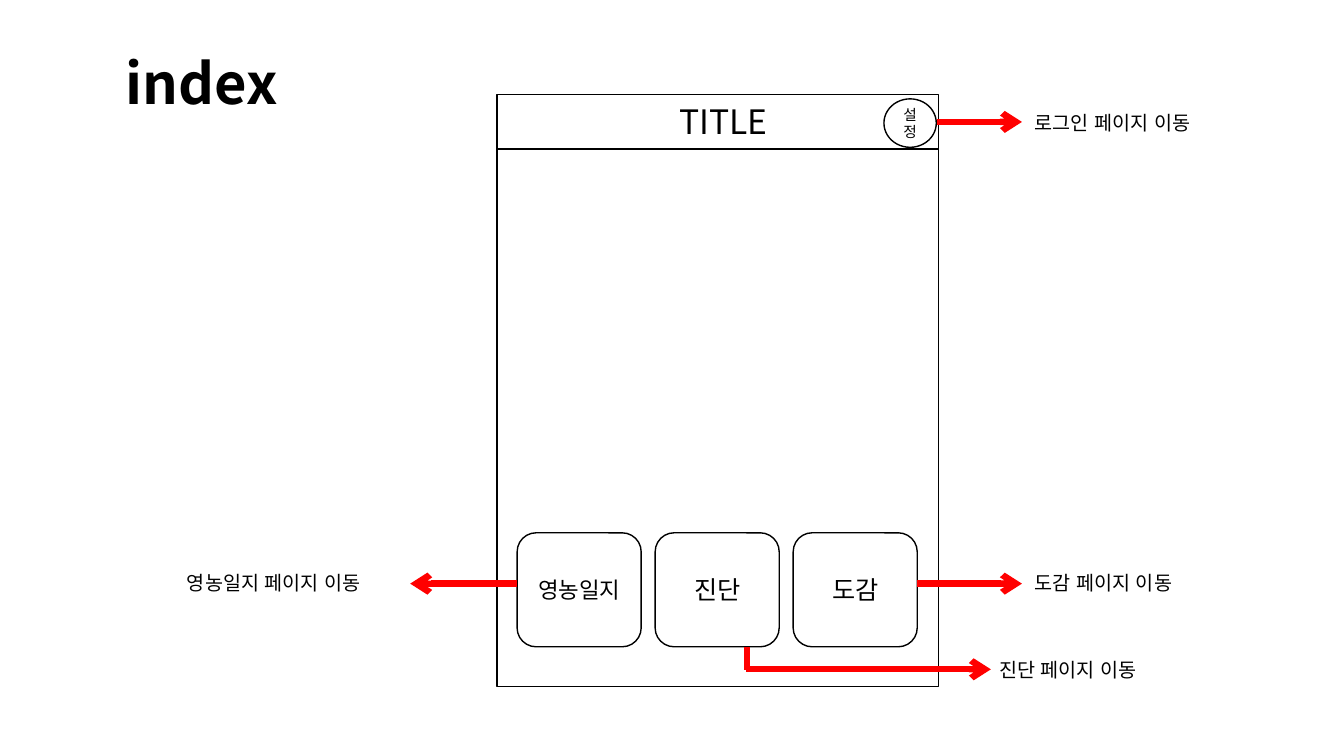
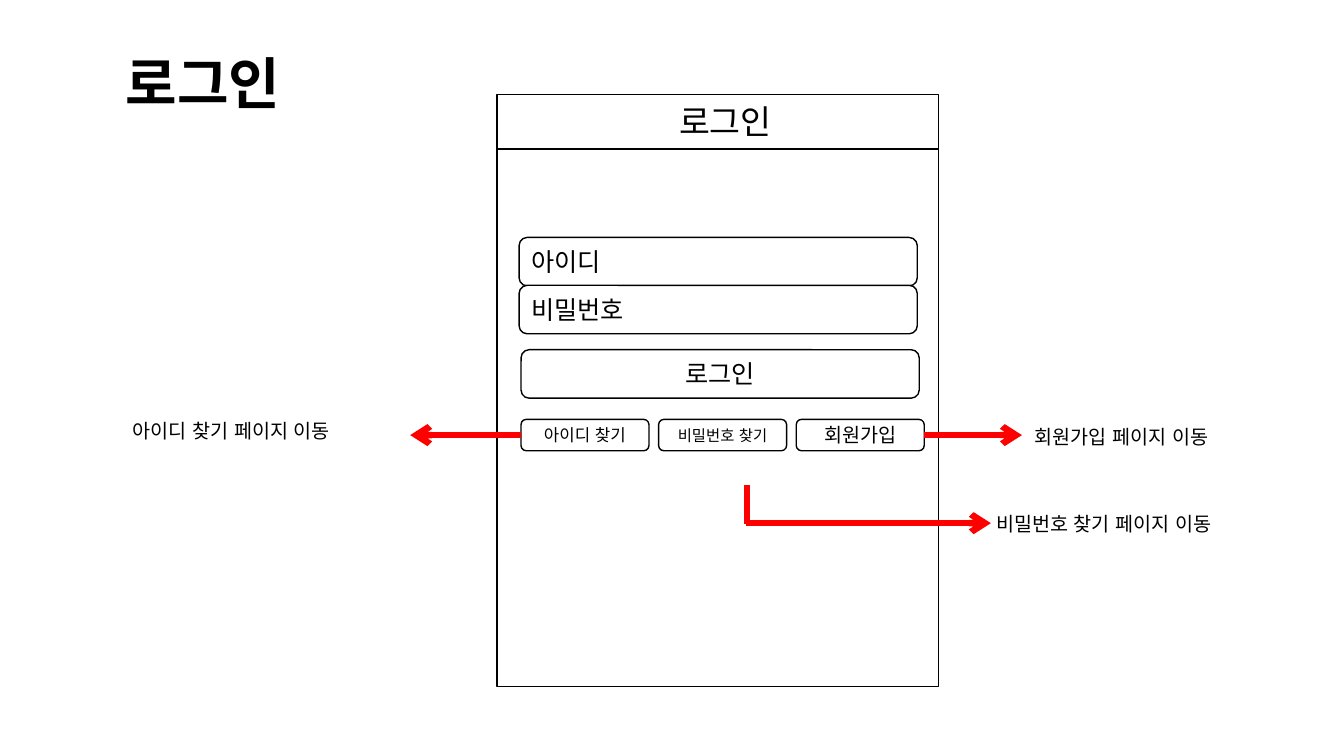
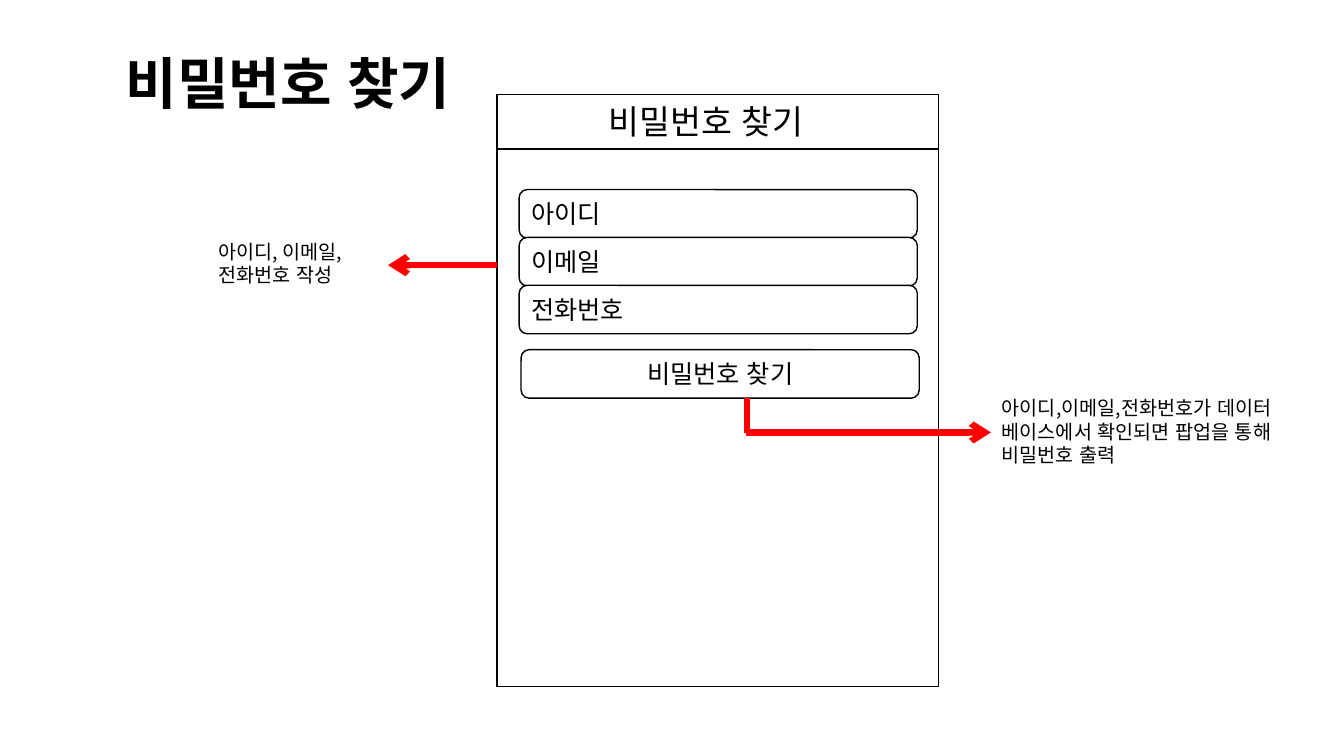
"""Build three annotated wireframe slides: index, login and password search."""
from dataclasses import dataclass

from lxml.etree import SubElement
from pptx import Presentation
from pptx.dml.color import RGBColor
from pptx.enum.lang import MSO_LANGUAGE_ID
from pptx.enum.shapes import MSO_CONNECTOR, MSO_SHAPE
from pptx.enum.text import MSO_ANCHOR, PP_ALIGN
from pptx.oxml.ns import qn
from pptx.util import Pt


@dataclass(frozen=True)
class Theme:
    font: str = "Noto Sans CJK KR"
    ink: RGBColor = RGBColor(0, 0, 0)
    paper: RGBColor = RGBColor(255, 255, 255)
    accent: RGBColor = RGBColor(255, 0, 0)
    outline: float = 1
    arrow: float = 4.5
    title: float = 40
    header: float = 24
    body: float = 18
    compact: float = 16
    label: float = 14
    small: float = 12
    smaller: float = 11
    tiny: float = 10.5


theme = Theme()
BOX, ROUND, CIRCLE = MSO_SHAPE.RECTANGLE, MSO_SHAPE.ROUNDED_RECTANGLE, MSO_SHAPE.OVAL
LEFT, CENTER = PP_ALIGN.LEFT, PP_ALIGN.CENTER


def add_box(shapes, kind, bounds, text="", size=theme.body, align=LEFT, bold=None):
    """Add an outlined shape, or a plain text box when kind is None."""
    lengths = [Pt(value) for value in bounds]
    if kind is None:
        shape = shapes.add_textbox(*lengths)
    else:
        shape = shapes.add_shape(kind, *lengths)
        shape.shadow.inherit = False
        shape.fill.solid()
        shape.fill.fore_color.rgb = theme.paper
        shape.line.color.rgb = theme.ink
        shape.line.width = Pt(theme.outline)
    frame = shape.text_frame
    frame.word_wrap = True
    frame.vertical_anchor = MSO_ANCHOR.TOP if kind is None else MSO_ANCHOR.MIDDLE
    frame.text = text
    font_format = {"name": theme.font, "size": Pt(size), "bold": bold,
                   "language_id": MSO_LANGUAGE_ID.KOREAN}
    for paragraph in frame.paragraphs:
        paragraph.alignment = align
        for run in paragraph.runs:
            for name, value in font_format.items():
                setattr(run.font, name, value)
            run.font.color.rgb = theme.ink
            SubElement(run.font._element, qn("a:ea"), typeface=theme.font)
    return shape


def add_line(shapes, start, end, head=True):
    """Add a straight accent line, with an arrowhead at its end when asked."""
    points = [Pt(value) for value in (*start, *end)]
    line = shapes.add_connector(MSO_CONNECTOR.STRAIGHT, *points)
    line.line.color.rgb = theme.accent
    line.line.width = Pt(theme.arrow)
    if head:
        SubElement(line.line._get_or_add_ln(), qn("a:tailEnd"), type="arrow")
    SubElement(line._element.spPr, qn("a:effectLst"))
    return line


FIELD_X, FIELD_Y, FIELD_PITCH = 370.8, 135.4, 34.2
FIELD_SIZE = (284.4, 34.6)
SUBMIT = (372.2, 249.8, *FIELD_SIZE)
BRANCH_X, BRANCH_END = 533.2, 707.8
LEFT_END, RIGHT_END, RIGHT_LABEL = 293, 730, 732

pages = [
    {
        "title": "index",
        "header": ("TITLE", 478, 78),
        "fields": [],
        "first_row": 0,
        "submit": None,
        "buttons": [("영농일지", theme.compact), ("진단", theme.body), ("도감", theme.body)],
        "button_grid": (369.4, 380.6, 98.6, 88.6, 81.4),
        "settings": "설정",
        "arrows": [((369.4, 416.9), LEFT_END, None), ((655.2, 416.9), RIGHT_END, None),
                   ((669, 87.1), RIGHT_END, None)],
        "branch": (462.2, 478.1),
        "labels": [("영농일지 페이지 이동", 126.5, 404.6, 185), ("도감 페이지 이동", RIGHT_LABEL, 404.6, 165),
                   ("진단 페이지 이동", 706.5, 466.6, 165), ("로그인 페이지 이동", RIGHT_LABEL, 75.6, 165)],
    },
    {
        "title": "로그인",
        "header": ("로그인", 478, 91),
        "fields": ["아이디", "비밀번호"],
        "first_row": 1,
        "submit": "로그인",
        "buttons": [("아이디 찾기", theme.small), ("비밀번호 찾기", theme.smaller), ("회원가입", theme.label)],
        "button_grid": (372.2, 299.6, 98.3, 91.4, 22.4),
        "settings": None,
        "arrows": [((372.2, 310.8), LEFT_END, (0, 1)), ((660.2, 310.8), RIGHT_END, (2, 3))],
        "branch": (346.3, 373.7),
        "labels": [("아이디 찾기 페이지 이동", 87.8, 295.9, 193), ("회원가입 페이지 이동", RIGHT_LABEL, 300.2, 165),
                   ("비밀번호 찾기 페이지 이동", 704.5, 362.2, 212)],
    },
    {
        "title": "비밀번호 찾기",
        "header": ("비밀번호 찾기", 427.7, 193),
        "fields": ["아이디", "이메일", "전화번호"],
        "first_row": 0,
        "submit": "비밀번호 찾기",
        "buttons": [],
        "button_grid": (0, 0, 0, 0, 0),
        "settings": None,
        "arrows": [((355, 189.4), 277.2, None)],
        "branch": (284.4, 308.9),
        "labels": [("아이디, 이메일,\n전화번호 작성", 149, 167.8, 128),
                   ("아이디,이메일,전화번호가 데이터 베이스에서 확인되면 팝업을 통해 비밀번호 출력", 708.5, 279.4, 231.8)],
    },
]

presentation = Presentation()
presentation.slide_width, presentation.slide_height = Pt(960), Pt(540)

for page in pages:
    slide = presentation.slides.add_slide(presentation.slide_layouts[6])
    shapes = slide.shapes

    screen = shapes.add_group_shape().shapes
    add_box(screen, BOX, (355, 70.6, 315.4, 419.8))
    add_box(screen, BOX, (355, 67.7, 315.4, 38.9))
    add_box(shapes, None, (82.8, 31, 272, 55.4), page["title"], theme.title, bold=True)
    header, header_x, header_width = page["header"]
    add_box(shapes, None, (header_x, 68.4, header_width, 36), header, theme.header)

    for row, field in enumerate(page["fields"], page["first_row"]):
        add_box(shapes, ROUND, (FIELD_X, FIELD_Y + row * FIELD_PITCH, *FIELD_SIZE), field)
    if page["submit"]:
        add_box(shapes, ROUND, SUBMIT, page["submit"], align=CENTER)

    grid_x, grid_y, pitch, width, height = page["button_grid"]
    buttons = [
        add_box(shapes, ROUND, (grid_x + column * pitch, grid_y, width, height), text, size, CENTER)
        for column, (text, size) in enumerate(page["buttons"])
    ]
    if page["settings"]:
        add_box(shapes, CIRCLE, (631.4, 70.6, 37.4, 34.6), page["settings"], theme.tiny, CENTER)

    for start, end_x, joint in page["arrows"]:
        arrow = add_line(shapes, start, (end_x, start[1]))
        if joint:
            button, side = joint
            arrow.begin_connect(buttons[button], side)

    branch_top, branch_y = page["branch"]
    add_line(shapes, (BRANCH_X, branch_y), (BRANCH_END, branch_y))
    add_line(shapes, (BRANCH_X + 0.4, branch_top), (BRANCH_X + 0.4, branch_y + 0.7), head=False)

    for text, label_x, label_y, label_width in page["labels"]:
        add_box(shapes, None, (label_x, label_y, label_width, 24.5), text, theme.label)

presentation.save("out.pptx")
